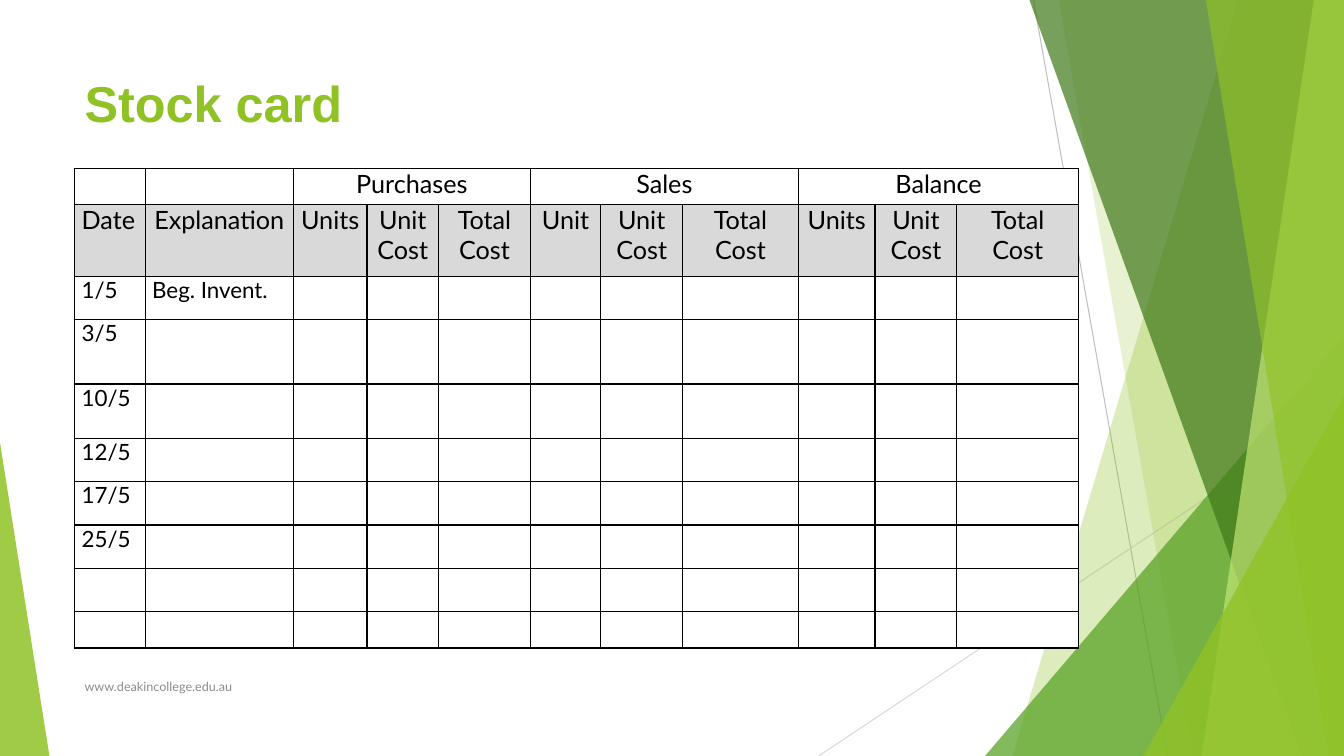
from dataclasses import dataclass

import pptx
import pptx.dml.color
import pptx.enum.shapes
import pptx.enum.text
import pptx.oxml
import pptx.oxml.ns
import pptx.util
from pptx.util import Inches

COLORS = {
    "lime": "90C226", "green": "54A021", "forest": "3F7819", "pale": "C0E474",
    "line": "BFBFBF", "light_line": "D9D9D9", "header": "D9D9D9",
    "white": "FFFFFF", "black": "000000", "footer": "8C8C8C",
}
WIDTH, HEIGHT = 13.33, 7.5


@dataclass
class Ray:
    start: tuple[float, float]
    end: tuple[float, float]
    color: str


@dataclass
class Band:
    """A facet running from the top edge to the bottom edge, open to the right."""
    top_left: float
    bottom_left: float
    color: str
    opacity: int


@dataclass
class Wedge:
    """A right triangle standing on the bottom edge."""
    left: float
    top: float
    width: float
    apex: float
    color: str
    opacity: int


@dataclass
class Label:
    text: str
    box: tuple[float, float, float, float]
    size: int
    font: str
    color: str
    bold: bool
    anchor: pptx.enum.text.MSO_ANCHOR


RAYS = [
    Ray((10.25, 0), (11.58, HEIGHT), "line"),
    Ray((WIDTH, 4.03), (8.12, HEIGHT), "light_line"),
]
FACETS = [
    Band(12.28, 10.04, "lime", 30),
    Band(10.5, 11.83, "lime", 20),
    Wedge(9.77, 3.33, 3.56, 1, "green", 72),
    Band(10.21, 12.91, "forest", 70),
    Band(13.03, 11.92, "pale", 70),
    Band(11.96, 13.18, "lime", 65),
    Wedge(11.34, 3.93, 1.99, 1, "lime", 80),
    Wedge(0, 4.39, 0.49, 0, "lime", 85),
]
LABELS = [
    Label("Stock card", (0.74, 0.67, 9.4, 0.9), 36, "Arial", "lime", True,
          pptx.enum.text.MSO_ANCHOR.TOP),
    Label("www.deakincollege.edu.au", (0.74, 6.61, 6.89, 0.4), 9, "Lato", "footer", False,
          pptx.enum.text.MSO_ANCHOR.MIDDLE),
]

COLUMN_WIDTHS = [0.7, 1.47, 0.73, 0.71, 0.91, 0.7, 0.81, 1.15, 0.76, 0.81, 1.21]
ROW_HEIGHTS = [0.36, 0.71, 0.43, 0.64, 0.54, 0.43, 0.43, 0.43, 0.43, 0.36]
GROUPS = {2: "Purchases", 5: "Sales", 8: "Balance"}
HEADINGS = ["Date", "Explanation", "Units", "Unit Cost", "Total Cost", "Unit", "Unit Cost",
            "Total Cost", "Units", "Unit Cost", "Total Cost"]
DATES = ["1/5", "3/5", "10/5", "12/5", "17/5", "25/5"]


def rgb(name: str) -> pptx.dml.color.RGBColor:
    return pptx.dml.color.RGBColor.from_string(COLORS[name])


def draw_ray(slide, ray: Ray) -> None:
    connector = slide.shapes.add_connector(
        pptx.enum.shapes.MSO_CONNECTOR.STRAIGHT,
        *(Inches(value) for value in (*ray.start, *ray.end)))
    connector.line.color.rgb = rgb(ray.color)
    connector.line.width = pptx.util.Pt(0.75)
    pptx.oxml.ns.qn("a:effectLst")
    connector._element.spPr.append(pptx.oxml.parse_xml(
        f'<a:effectLst {pptx.oxml.ns.nsdecls("a")}/>'))


def draw_facet(slide, facet: Band | Wedge) -> None:
    if isinstance(facet, Band):
        builder = slide.shapes.build_freeform(Inches(facet.top_left), 0)
        corners = [(WIDTH, 0), (WIDTH, HEIGHT), (facet.bottom_left, HEIGHT)]
        builder.add_line_segments([(Inches(x), Inches(y)) for x, y in corners])
        shape = builder.convert_to_shape()
    else:
        shape = slide.shapes.add_shape(
            pptx.enum.shapes.MSO_SHAPE.ISOSCELES_TRIANGLE, Inches(facet.left),
            Inches(facet.top), Inches(facet.width), Inches(HEIGHT - facet.top))
        shape.adjustments[0] = facet.apex
    shape.shadow.inherit = False
    shape.line.fill.background()
    shape.fill.solid()
    shape.fill.fore_color.rgb = rgb(facet.color)
    color = shape._element.spPr.find(".//" + pptx.oxml.ns.qn("a:srgbClr"))
    color.append(pptx.oxml.parse_xml(
        f'<a:alpha {pptx.oxml.ns.nsdecls("a")} val="{facet.opacity * 1000}"/>'))


def draw_label(slide, label: Label) -> None:
    frame = slide.shapes.add_textbox(*(Inches(value) for value in label.box)).text_frame
    frame.word_wrap = True
    frame.vertical_anchor = label.anchor
    paragraph = frame.paragraphs[0]
    paragraph.text = label.text
    paragraph.font.size = pptx.util.Pt(label.size)
    paragraph.font.name = label.font
    paragraph.font.bold = label.bold
    paragraph.font.color.rgb = rgb(label.color)


def style_cell(cell, text: str, size: int, centered: bool, fill: str) -> None:
    cell.margin_left = cell.margin_right = Inches(0.07)
    cell.margin_top = cell.margin_bottom = 0
    paragraph = cell.text_frame.paragraphs[0]
    paragraph.text = text
    paragraph.space_after = pptx.util.Pt(1)
    if centered:
        paragraph.alignment = pptx.enum.text.PP_ALIGN.CENTER
    paragraph.font.size = pptx.util.Pt(size)
    paragraph.font.name = "Lato"
    paragraph.font.color.rgb = rgb("black")
    # Borders come before the fill in the cell properties
    properties = cell._tc.get_or_add_tcPr()
    for side in ("lnL", "lnR", "lnT", "lnB"):
        properties.append(pptx.oxml.parse_xml(
            f'<a:{side} {pptx.oxml.ns.nsdecls("a")} w="12700"><a:solidFill>'
            f'<a:srgbClr val="{COLORS["black"]}"/></a:solidFill></a:{side}>'))
    cell.fill.solid()
    cell.fill.fore_color.rgb = rgb(fill)


def draw_stock_card(slide) -> None:
    blank = [""] * len(COLUMN_WIDTHS)
    rows = [[GROUPS.get(column, "") for column in range(len(blank))], HEADINGS]
    rows += [[date, *blank[1:]] for date in DATES]
    rows += [blank] * (len(ROW_HEIGHTS) - len(rows))
    rows[2][1] = "Beg. Invent."

    table = slide.shapes.add_table(
        len(rows), len(blank), Inches(0.74), Inches(1.67),
        Inches(sum(COLUMN_WIDTHS)), Inches(sum(ROW_HEIGHTS))).table
    table.first_row = table.horz_banding = False
    for column, width in zip(table.columns, COLUMN_WIDTHS):
        column.width = Inches(width)
    for row, height in zip(table.rows, ROW_HEIGHTS):
        row.height = Inches(height)
    for row_index, texts in enumerate(rows):
        for column_index, text in enumerate(texts):
            is_header = row_index < 2
            style_cell(table.cell(row_index, column_index), text, 18 if is_header else 16,
                       is_header and text != "Date", "header" if row_index == 1 else "white")
    for first in GROUPS:
        table.cell(0, first).merge(table.cell(0, first + 2))


def main() -> None:
    presentation = pptx.Presentation()
    presentation.slide_width, presentation.slide_height = Inches(WIDTH), Inches(HEIGHT)
    slide = presentation.slides.add_slide(presentation.slide_layouts[6])

    # Background facets
    for ray in RAYS:
        draw_ray(slide, ray)
    for facet in FACETS:
        draw_facet(slide, facet)

    # Title, stock card and footer
    draw_stock_card(slide)
    for label in LABELS:
        draw_label(slide, label)

    presentation.save("out.pptx")


if __name__ == "__main__":
    main()
